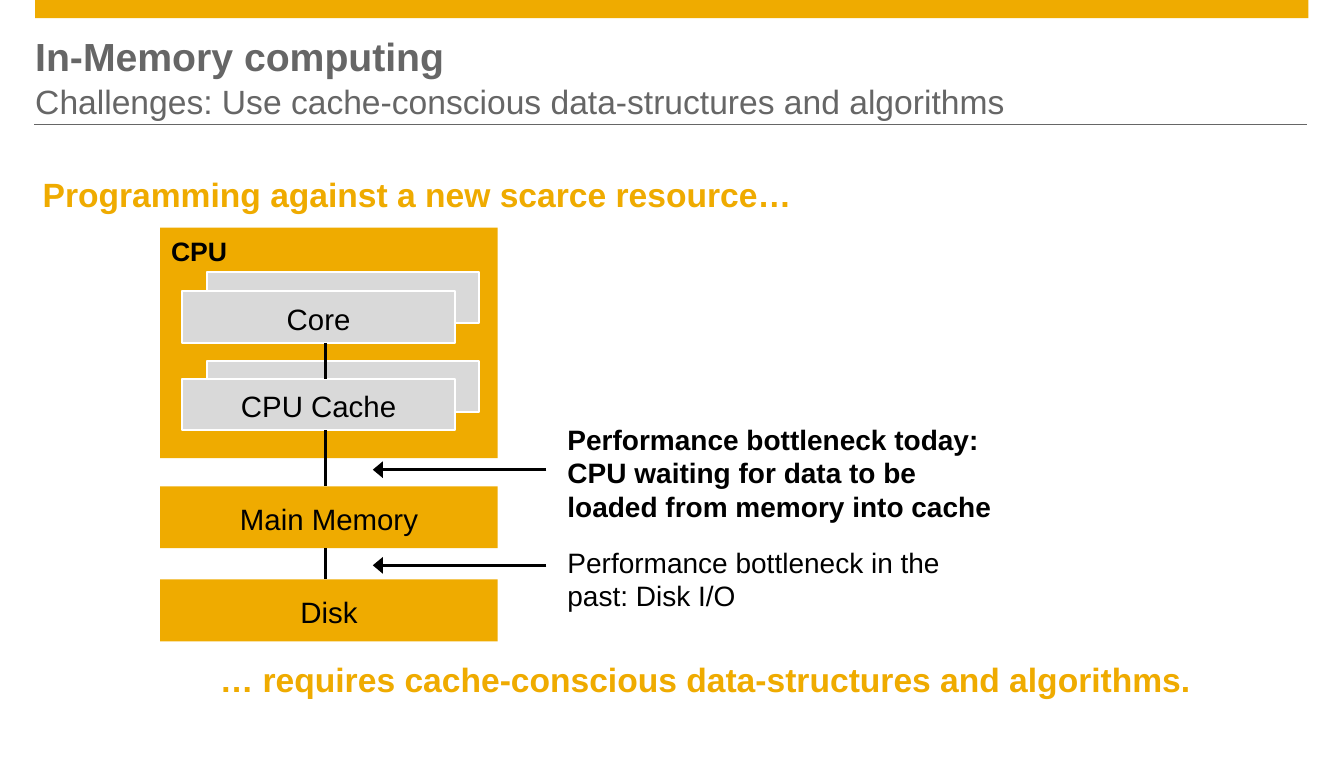
from lxml import etree
from pptx import Presentation
from pptx.dml.color import RGBColor
from pptx.enum.shapes import MSO_CONNECTOR, MSO_SHAPE
from pptx.enum.text import MSO_ANCHOR, PP_ALIGN
from pptx.oxml.ns import qn
from pptx.util import Pt

RECTANGLE = MSO_SHAPE.RECTANGLE
STRAIGHT = MSO_CONNECTOR.STRAIGHT
TOP, MIDDLE = MSO_ANCHOR.TOP, MSO_ANCHOR.MIDDLE
LEFT, CENTER = PP_ALIGN.LEFT, PP_ALIGN.CENTER
COLORS = {"gold": "EFAB00", "gray": "666666", "light": "D9D9D9",
          "white": "FFFFFF", "black": "000000"}
FONT = "Arial"


def color(name):
    """Return the named palette colour."""
    return RGBColor.from_string(COLORS[name])


def add_run(paragraph, text, size, ink="black", bold=False):
    """Add one formatted run to a paragraph."""
    run = paragraph.add_run()
    run.text = text
    run.font.name = FONT
    run.font.size = Pt(size)
    run.font.bold = bold
    run.font.color.rgb = color(ink)


def set_frame(shape, anchor, left=0, top=0):
    """Set wrapping, anchor and insets, and return the text frame."""
    frame = shape.text_frame
    frame.word_wrap = True
    frame.vertical_anchor = anchor
    frame.margin_left, frame.margin_top = Pt(left), Pt(top)
    frame.margin_right = frame.margin_bottom = 0
    return frame


def add_text_box(slide, left, top, width, height):
    """Add an empty text box and return its frame."""
    shape = slide.shapes.add_textbox(Pt(left), Pt(top), Pt(width), Pt(height))
    return set_frame(shape, TOP)


def add_block(slide, left, top, width, height, fill="gold", outline=None):
    """Add a flat filled rectangle."""
    shape = slide.shapes.add_shape(RECTANGLE, Pt(left), Pt(top), Pt(width), Pt(height))
    shape.shadow.inherit = False
    shape.fill.solid()
    shape.fill.fore_color.rgb = color(fill)
    if outline:
        shape.line.color.rgb = color(outline)
        shape.line.width = Pt(1.5)
    else:
        shape.line.fill.background()
    return shape


def label_block(shape, text):
    """Centre a label in a block."""
    paragraph = set_frame(shape, MIDDLE, top=2).paragraphs[0]
    paragraph.alignment = CENTER
    add_run(paragraph, text, 21)


def add_line(slide, start, end, ink="black", width=1.5, arrow=False):
    """Add a straight line, with an arrowhead at its end if asked."""
    connector = slide.shapes.add_connector(STRAIGHT, *map(Pt, start + end))
    connector.line.color.rgb = color(ink)
    connector.line.width = Pt(width)
    properties = connector._element.spPr
    etree.SubElement(properties, qn("a:effectLst"))
    if arrow:
        etree.SubElement(properties.find(qn("a:ln")), qn("a:tailEnd"),
                         type="triangle", w="lg", len="med")


def add_header(slide, left, top, width):
    """Place the top bar, the two title lines and the rule."""
    add_block(slide, left, top, width, 13)
    frame = add_text_box(slide, left, top + 23, width, 62)
    add_run(frame.paragraphs[0], "In-Memory computing", 28, "gray", True)
    subtitle = frame.add_paragraph()
    subtitle.space_before = Pt(1)
    add_run(subtitle, "Challenges: Use cache-conscious data-structures and algorithms",
            24, "gray")
    rule = top + 88.7
    add_line(slide, (left - 0.7, rule), (left + width - 0.7, rule), "gray", 0.5)


def add_statement(slide, left, top, width, text):
    """Place a bold gold statement."""
    frame = add_text_box(slide, left, top, width, 28)
    add_run(frame.paragraphs[0], text, 24, "gold", True)


def add_stacked_block(slide, left, top, offset, text):
    """Place a labelled block in front of a second one shifted up and right."""
    size = (194.5, 36.8)
    add_block(slide, left + 17.5, top - offset, *size, "light", "white")
    label_block(add_block(slide, left, top, *size, "light", "white"), text)


def add_memory_hierarchy(slide, left, top, width):
    """Place the CPU, main memory and disk blocks and their links."""
    axis = left + 118
    core, cache, memory, disk = top + 45.5, top + 108, top + 184.8, top + 251.3
    processor = add_block(slide, left, top, width, 164.6)
    paragraph = set_frame(processor, TOP, 7.7, 5).paragraphs[0]
    paragraph.alignment = LEFT
    add_run(paragraph, "CPU", 19, bold=True)
    add_stacked_block(slide, left + 15.8, core, 14, "Core")
    add_stacked_block(slide, left + 15.8, cache, 12.8, "CPU Cache")
    for block_top, text in ((memory, "Main Memory"), (disk, "Disk")):
        label_block(add_block(slide, left, block_top, width, 44.2), text)
    for start, end in ((core + 36.8, cache), (cache + 36.8, memory),
                       (memory + 44.2, disk)):
        add_line(slide, (axis, start), (axis, end))


def add_bottlenecks(slide, left, top, width):
    """Place the bottleneck notes and the arrows that point at the links."""
    frame = add_text_box(slide, left, top, width, 138)
    notes = ((("Performance bottleneck today:", "CPU waiting for data to be",
               "loaded from memory into cache"), True),
             (("Performance bottleneck in the", "past: Disk I/O"), False))
    for index, (lines, bold) in enumerate(notes):
        paragraph = frame.add_paragraph() if index else frame.paragraphs[0]
        paragraph.line_spacing = Pt(24)
        paragraph.space_before = Pt(16 * index)
        for number, text in enumerate(lines):
            if number:
                paragraph.add_line_break()
            add_run(paragraph, text, 20, bold=bold)
    for offset in (34, 102.3):
        add_line(slide, (left - 15, top + offset), (left - 139, top + offset),
                 width=2.4, arrow=True)


def main():
    """Build and save the slide."""
    presentation = Presentation()
    presentation.slide_width, presentation.slide_height = Pt(960), Pt(540.7)
    slide = presentation.slides.add_slide(presentation.slide_layouts[6])
    add_header(slide, 25.2, 0, 909.4)
    add_statement(slide, 30.5, 124, 560, "Programming against a new scarce resource…")
    add_memory_hierarchy(slide, 114.5, 162.6, 241)
    add_bottlenecks(slide, 405.3, 301.5, 392)
    add_statement(slide, 157, 471, 720,
                  "… requires cache-conscious data-structures and algorithms.")
    presentation.save("out.pptx")


if __name__ == "__main__":
    main()
